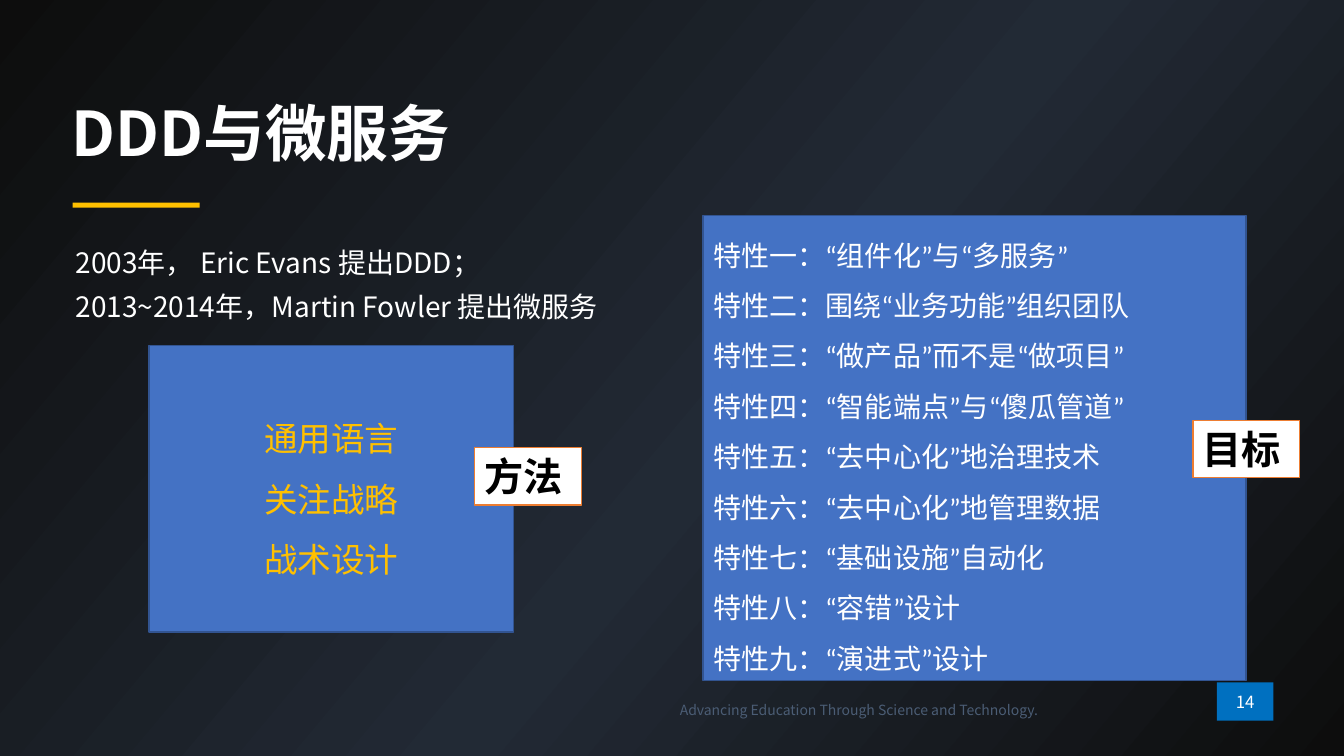
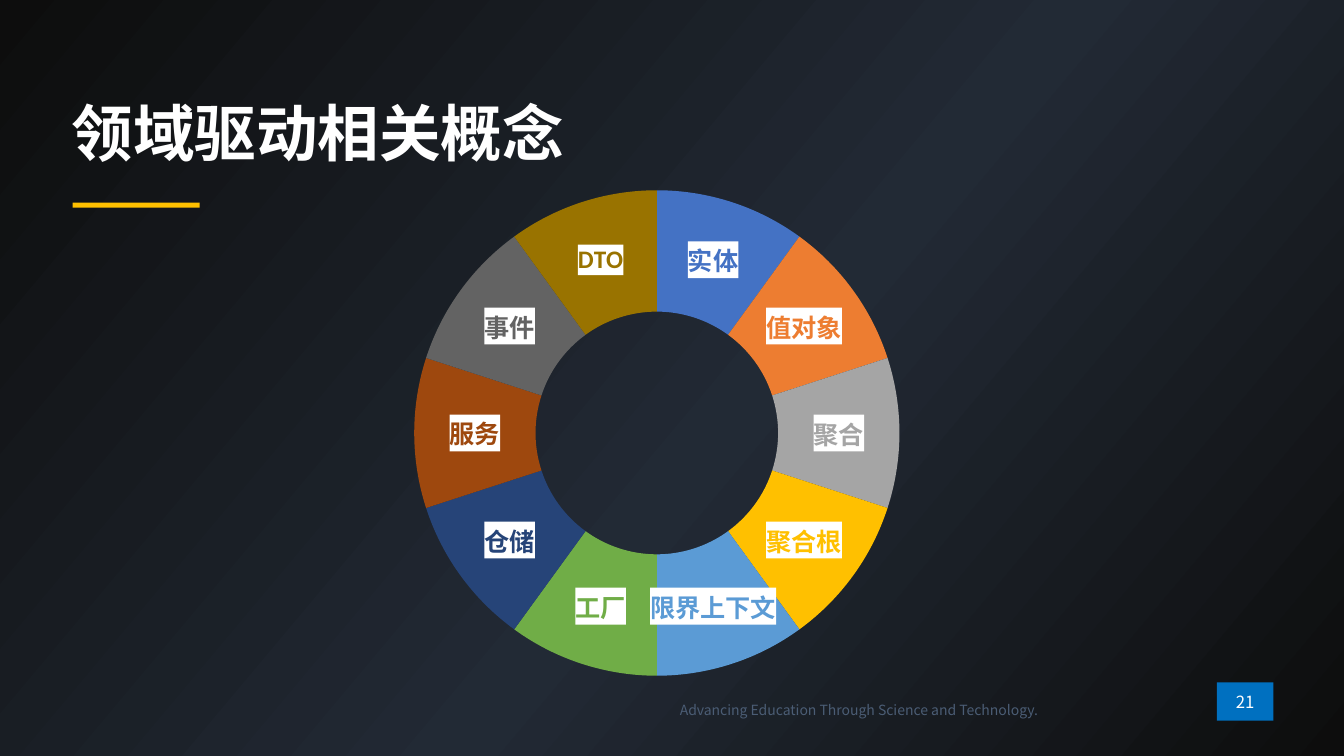
import pptx
import pptx.chart.data
import pptx.dml.color
import pptx.enum.chart
import pptx.enum.shapes
import pptx.enum.text
import pptx.oxml
import pptx.oxml.ns
import pptx.util
import lxml.etree

COLORS = {
    "white": "FFFFFF", "black": "000000", "edge": "0D0D0D", "night": "222A35",
    "badge": "0070C0", "footer": "4B5D75", "gold": "FFC000", "blue": "4472C4",
    "outline": "325491", "orange": "ED7D31", "silver": "A5A5A5", "sky": "5B9BD5",
    "green": "70AD47", "navy": "264478", "rust": "9E480E", "gray": "636363",
    "olive": "997300",
}
SANS, CALIBRI = "Noto Sans CJK SC", "Calibri"
ALIGN = pptx.enum.text.PP_ALIGN
ANCHOR = pptx.enum.text.MSO_ANCHOR
qn = pptx.oxml.ns.qn

FORMATS = {
    "title": {"size": 44, "bold": True, "name": SANS, "color": "white"},
    "body": {"size": 20, "name": SANS, "color": "white"},
    "footer": {"size": 10, "name": SANS, "color": "footer"},
    "badge": {"size": 12, "name": SANS, "color": "white"},
    "features": {"size": 20, "name": CALIBRI, "color": "white"},
    "method": {"size": 24, "name": CALIBRI, "color": "gold"},
    "tag": {"size": 28, "bold": True, "name": CALIBRI, "color": "black"},
}
FOOTER = "Advancing Education Through Science and Technology."
FEATURES = [
    "特性一：“组件化”与“多服务”",
    "特性二：围绕“业务功能”组织团队",
    "特性三：“做产品”而不是“做项目”",
    "特性四：“智能端点”与“傻瓜管道”",
    "特性五：“去中心化”地治理技术",
    "特性六：“去中心化”地管理数据",
    "特性七：“基础设施”自动化",
    "特性八：“容错”设计",
    "特性九：“演进式”设计",
]
CONCEPTS = {
    "实体": "blue", "值对象": "orange", "聚合": "silver", "聚合根": "gold",
    "限界上下文": "sky", "工厂": "green", "仓储": "navy", "服务": "rust",
    "事件": "gray", "DTO": "olive",
}


def rgb(name):
    return pptx.dml.color.RGBColor.from_string(COLORS[name])


def solid_fill(parent, name):
    fill = lxml.etree.SubElement(parent, qn("a:solidFill"))
    lxml.etree.SubElement(fill, qn("a:srgbClr"), val=COLORS[name])


class Deck:
    def __init__(self):
        self.prs = pptx.Presentation()
        self.prs.slide_width = pptx.util.Inches(13.34)
        self.prs.slide_height = pptx.util.Inches(7.5)
        self.slide = None
        self.paint_background()

    def paint_background(self):
        master = self.prs.slide_master
        fill = master.background.fill
        fill.gradient()
        fill.gradient_angle = 320
        stops = master.element.xpath(".//p:bg//a:gsLst")[0]
        for stop in list(stops):
            stops.remove(stop)
        for pos, name in ((0, "edge"), (55, "night"), (100, "edge")):
            stop = lxml.etree.SubElement(stops, qn("a:gs"), pos=str(pos * 1000))
            lxml.etree.SubElement(stop, qn("a:srgbClr"), val=COLORS[name])

    def box(self, left, top, width, height):
        w, h = self.prs.slide_width, self.prs.slide_height
        return [int(share * side / 100) for share, side
                in ((left, w), (top, h), (width, w), (height, h))]

    def place(self, sp, area):
        for key, value in zip(("left", "top", "width", "height"), self.box(*area)):
            setattr(sp, key, value)

    def style_font(self, font, values):
        for key, value in values.items():
            if key == "color":
                font.color.rgb = rgb(value)
            else:
                setattr(font, key, pptx.util.Pt(value) if key == "size" else value)

    def set_text(self, sp, lines, style, align=ALIGN.LEFT, anchor=ANCHOR.MIDDLE,
                 spacing=1.0, before=0, plain=False):
        tf = sp.text_frame
        frame = {"word_wrap": True, "vertical_anchor": anchor,
                 "auto_size": pptx.enum.text.MSO_AUTO_SIZE.NONE}
        for key, value in frame.items():
            setattr(tf, key, value)
        for i, line in enumerate(lines):
            p = tf.paragraphs[0] if i == 0 else tf.add_paragraph()
            layout = {"alignment": align, "line_spacing": spacing,
                      "space_before": pptx.util.Pt(before if i else 0)}
            for key, value in layout.items():
                setattr(p, key, value)
            if plain:
                pPr = p._p.get_or_add_pPr()
                pPr.set("marL", "0")
                pPr.set("indent", "0")
                lxml.etree.SubElement(pPr, qn("a:buNone"))
            r = p.add_run()
            r.text = line
            self.style_font(r.font, FORMATS[style])
            rPr = r._r.get_or_add_rPr()
            lxml.etree.SubElement(rPr, qn("a:ea"), typeface=FORMATS[style]["name"])

    def rect(self, area, fill, line=None):
        kind = pptx.enum.shapes.MSO_SHAPE.RECTANGLE
        sp = self.slide.shapes.add_shape(kind, *self.box(*area))
        sp.shadow.inherit = False
        sp.fill.solid()
        sp.fill.fore_color.rgb = rgb(fill)
        if line:
            sp.line.color.rgb = rgb(line)
            sp.line.width = pptx.util.Pt(1)
        else:
            sp.line.fill.background()
        return sp

    def panel(self, area, lines, style, align):
        sp = self.rect(area, "blue", "outline")
        self.set_text(sp, lines, style, align, spacing=1.5)

    def tag(self, left, top, text):
        sp = self.rect((left, top, 7.95, 7.6), "white", "orange")
        self.set_text(sp, [text], "tag", anchor=ANCHOR.TOP)

    def start(self, layout, title, number):
        self.slide = self.prs.slides.add_slide(self.prs.slide_layouts[layout])
        sp = self.slide.shapes.title
        self.place(sp, (4.57, 12.27, 89.73, 11.47))
        self.set_text(sp, [title], "title", spacing=0.9)
        self.rect((5.4, 26.8, 9.45, 0.67), "gold")
        badge = self.rect((90.55, 90.27, 4.2, 5.07), "badge")
        self.set_text(badge, [str(number)], "badge", ALIGN.CENTER)
        footer = self.slide.shapes.add_textbox(*self.box(34.56, 92.13, 43.4, 3.6))
        self.set_text(footer, [FOOTER], "footer", ALIGN.RIGHT, ANCHOR.TOP)

    def body(self, area, lines):
        sp = self.slide.placeholders[1]
        self.place(sp, area)
        self.set_text(sp, lines, "body", anchor=ANCHOR.TOP, spacing=0.9,
                      before=10, plain=True)

    def doughnut(self, area, slices):
        data = pptx.chart.data.CategoryChartData()
        data.categories = list(slices)
        data.add_series("Series 1", [10] * len(slices))
        kind = pptx.enum.chart.XL_CHART_TYPE.DOUGHNUT
        chart = self.slide.shapes.add_chart(kind, *self.box(*area), data).chart
        chart.has_title = False
        chart.has_legend = False
        self.style_font(chart.font, {"size": 10, "name": CALIBRI, "color": "black"})
        plot = chart.plots[0]
        plot.vary_by_categories = True
        series = plot.series[0]
        series.data_labels.show_value = False
        series.data_labels.show_category_name = True
        for i, name in enumerate(slices.values()):
            point = series.points[i]
            point.format.fill.solid()
            point.format.fill.fore_color.rgb = rgb(name)
            point.format.line.fill.background()
            self.style_font(point.data_label.font, {
                "size": 18, "bold": True, "name": CALIBRI, "color": name})
        for label in chart._chartSpace.xpath(".//c:dLbl"):
            for old in label.findall(qn("c:spPr")):
                label.remove(old)
            spPr = label.makeelement(qn("c:spPr"))
            solid_fill(spPr, "white")
            label.find(qn("c:txPr")).addprevious(spPr)
            label.find(qn("c:showVal")).set("val", "0")
            label.find(qn("c:showCatName")).set("val", "1")


def main():
    deck = Deck()

    deck.start(1, "DDD与微服务", 14)
    deck.body((4.87, 32.27, 46.48, 13.47),
              ["2003年， Eric Evans 提出DDD；", "2013~2014年，Martin Fowler 提出微服务"])
    deck.panel((52.32, 28.53, 40.4, 61.47), FEATURES, "features", ALIGN.LEFT)
    deck.panel((11.09, 45.73, 27.14, 37.87),
               ["通用语言", "关注战略", "战术设计"], "method", ALIGN.CENTER)
    deck.tag(35.31, 59.2, "方法")
    deck.tag(88.76, 55.6, "目标")

    deck.start(5, "领域驱动相关概念", 21)
    deck.doughnut((29.16, 23.33, 39.43, 68.53), CONCEPTS)

    deck.prs.save("out.pptx")


if __name__ == "__main__":
    main()
